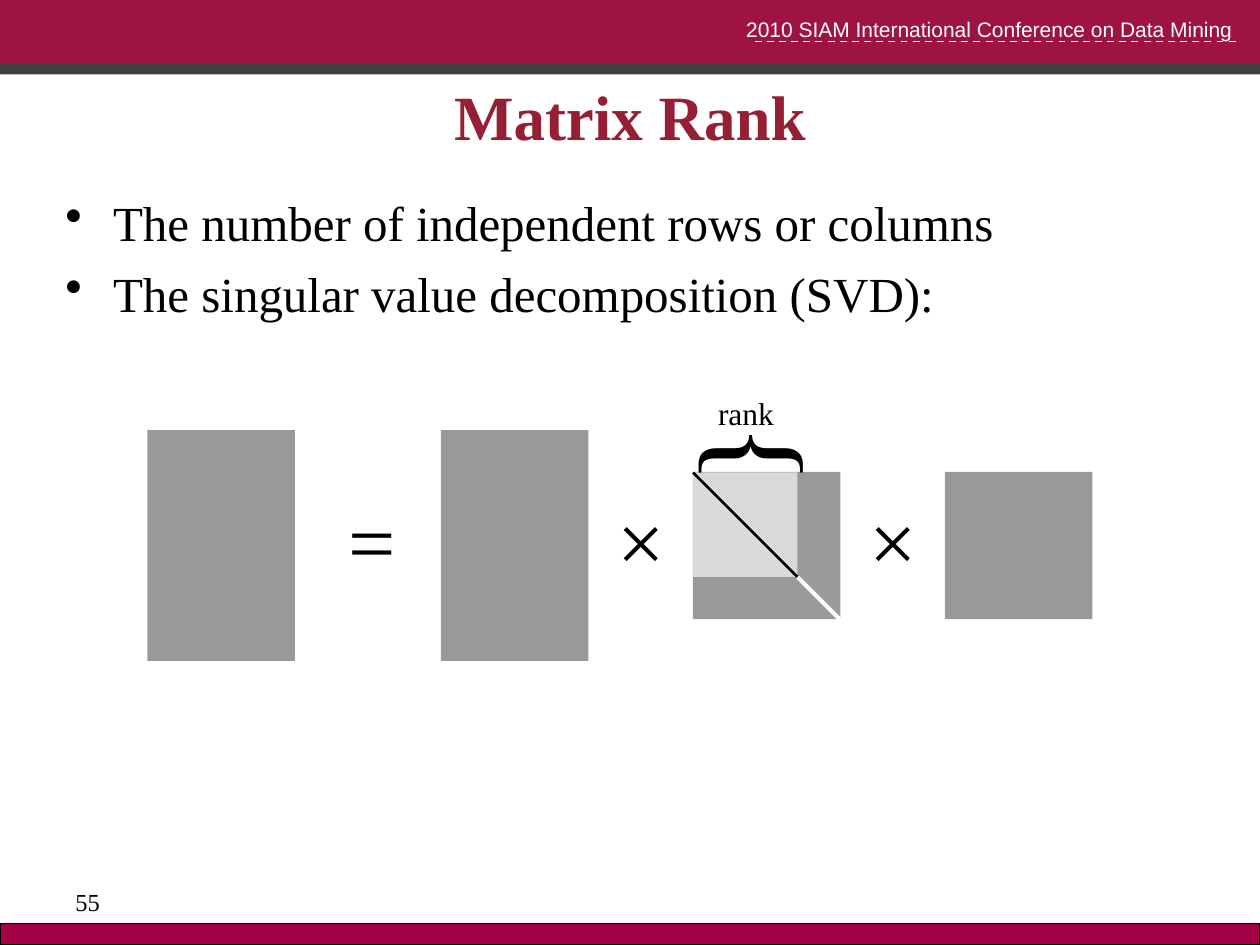
import dataclasses
import typing

import lxml.etree
import pptx
import pptx.dml.color
import pptx.enum.dml
import pptx.enum.shapes
import pptx.enum.text
import pptx.oxml.ns
import pptx.util

Inches = pptx.util.Inches
Pt = pptx.util.Pt
ALIGN = pptx.enum.text.PP_ALIGN
ANCHOR = pptx.enum.text.MSO_ANCHOR


@dataclasses.dataclass(frozen=True)
class Theme:
    serif: str = "Times New Roman"
    sans: str = "Arial"
    black: str = "000000"
    white: str = "FFFFFF"
    title: str = "951F34"
    header: str = "9F1342"
    header_edge: str = "404040"
    footer: str = "A40045"
    matrix: str = "999999"
    rank_block: str = "D9D9D9"
    header_size: int = 12
    number_size: int = 14
    label_size: int = 18
    body_size: int = 28
    title_size: int = 36
    operator_size: int = 48
    brace_size: int = 72


class Box(typing.NamedTuple):
    left: float
    top: float
    width: float
    height: float


class Block(typing.NamedTuple):
    box: Box
    fill: str
    outline: typing.Optional[str] = None


class Line(typing.NamedTuple):
    start: typing.Tuple[float, float]
    end: typing.Tuple[float, float]
    color: str
    width: float
    dashed: bool = False


THEME = Theme()


def rgb(value: str) -> pptx.dml.color.RGBColor:
    return pptx.dml.color.RGBColor.from_string(value)


def add_block(s, block: Block) -> None:
    sp = s.shapes.add_shape(
        pptx.enum.shapes.MSO_SHAPE.RECTANGLE, *map(Inches, block.box))
    sp.shadow.inherit = False
    sp.fill.solid()
    sp.fill.fore_color.rgb = rgb(block.fill)
    if block.outline:
        sp.line.color.rgb = rgb(block.outline)
        sp.line.width = Pt(0.75)
    else:
        sp.line.fill.background()


def add_line(s, line: Line) -> None:
    cxn = s.shapes.add_connector(
        pptx.enum.shapes.MSO_CONNECTOR.STRAIGHT,
        *map(Inches, line.start + line.end))
    cxn.line.color.rgb = rgb(line.color)
    cxn.line.width = Pt(line.width)
    if line.dashed:
        cxn.line.dash_style = pptx.enum.dml.MSO_LINE.DASH
    lxml.etree.SubElement(
        cxn._element.spPr, pptx.oxml.ns.qn("a:effectLst"))


def add_bullet(p) -> None:
    pPr = p._p.get_or_add_pPr()
    pPr.set("marL", str(Inches(0.38)))
    pPr.set("indent", str(-Inches(0.38)))
    bullet = lxml.etree.SubElement(pPr, pptx.oxml.ns.qn("a:buChar"))
    bullet.set("char", "•")


def add_text(s, text: str, box: Box, *, size: int, font: str = THEME.serif,
             color: str = THEME.black, bold: bool = False,
             align: ALIGN = ALIGN.LEFT, anchor: ANCHOR = ANCHOR.TOP,
             bullets: bool = False, gap: float = 0,
             rotation: float = 0) -> None:
    sp = s.shapes.add_textbox(*map(Inches, box))
    sp.rotation = rotation
    tf = sp.text_frame
    tf.word_wrap = True
    tf.vertical_anchor = anchor
    for i, content in enumerate(text.split("\n")):
        p = tf.paragraphs[0] if i == 0 else tf.add_paragraph()
        p.alignment = align
        if bullets:
            add_bullet(p)
        if i:
            p.space_before = Pt(gap)
        r = p.add_run()
        r.text = content
        r.font.name = font
        r.font.size = Pt(size)
        r.font.bold = bold
        r.font.color.rgb = rgb(color)


def draw_frame(s) -> None:
    for block in (
        Block(Box(0, 7.33, 10, 0.17), THEME.footer, THEME.black),
        Block(Box(0, 0.17, 10, 0.42), THEME.header_edge),
        Block(Box(0, 0, 10, 0.5), THEME.header),
    ):
        add_block(s, block)
    add_text(s, "2010 SIAM International Conference on Data Mining ",
             Box(4.5, 0.08, 5.43, 0.5), size=THEME.header_size,
             font=THEME.sans, color=THEME.white, align=ALIGN.RIGHT)
    add_line(s, Line((5.99, 0.33), (9.83, 0.33), THEME.white, 1, True))
    add_text(s, "55", Box(0.5, 6.99, 1.17, 0.35), size=THEME.number_size)


def draw_decomposition(s) -> None:
    side, tall, middle, rank = 1.17, 1.83, 4.33, 0.83
    for left, height in ((1.17, tall), (3.5, tall), (5.5, side), (7.5, side)):
        box = Box(left, middle - height / 2, side, height)
        add_block(s, Block(box, THEME.matrix))
    for symbol, left, width in (("=", 2.67, 0.58), ("×", 4.8, 0.88),
                                ("×", 6.8, 0.88)):
        add_text(s, symbol, Box(left, 3.83, width, 0.91),
                 size=THEME.operator_size)

    left, top = 5.5, 3.75
    corner = (left + rank, top + rank)
    add_block(s, Block(Box(left, top, rank, rank), THEME.rank_block))
    add_line(s, Line((left, top), corner, THEME.black, 1.5))
    add_line(s, Line(corner, (left + side, top + side), THEME.white, 2.25))
    add_text(s, "}", Box(left, 2.94, 0.69, 1.31), size=THEME.brace_size,
             rotation=270)
    add_text(s, "rank", Box(5.6, 3.08, 0.65, 0.4), size=THEME.label_size)


def main() -> None:
    prs = pptx.Presentation()
    prs.slide_width, prs.slide_height = Inches(10), Inches(7.5)
    s = prs.slides.add_slide(prs.slide_layouts[6])
    draw_frame(s)
    add_text(s, "Matrix Rank", Box(0.5, 0.58, 9, 0.67),
             size=THEME.title_size, color=THEME.title, bold=True,
             align=ALIGN.CENTER, anchor=ANCHOR.MIDDLE)
    add_text(s, "The number of independent rows or columns\n"
             "The singular value decomposition (SVD):",
             Box(0.42, 1.48, 9.17, 1.07), size=THEME.body_size,
             bullets=True, gap=7)
    draw_decomposition(s)
    prs.save("out.pptx")


if __name__ == "__main__":
    main()
